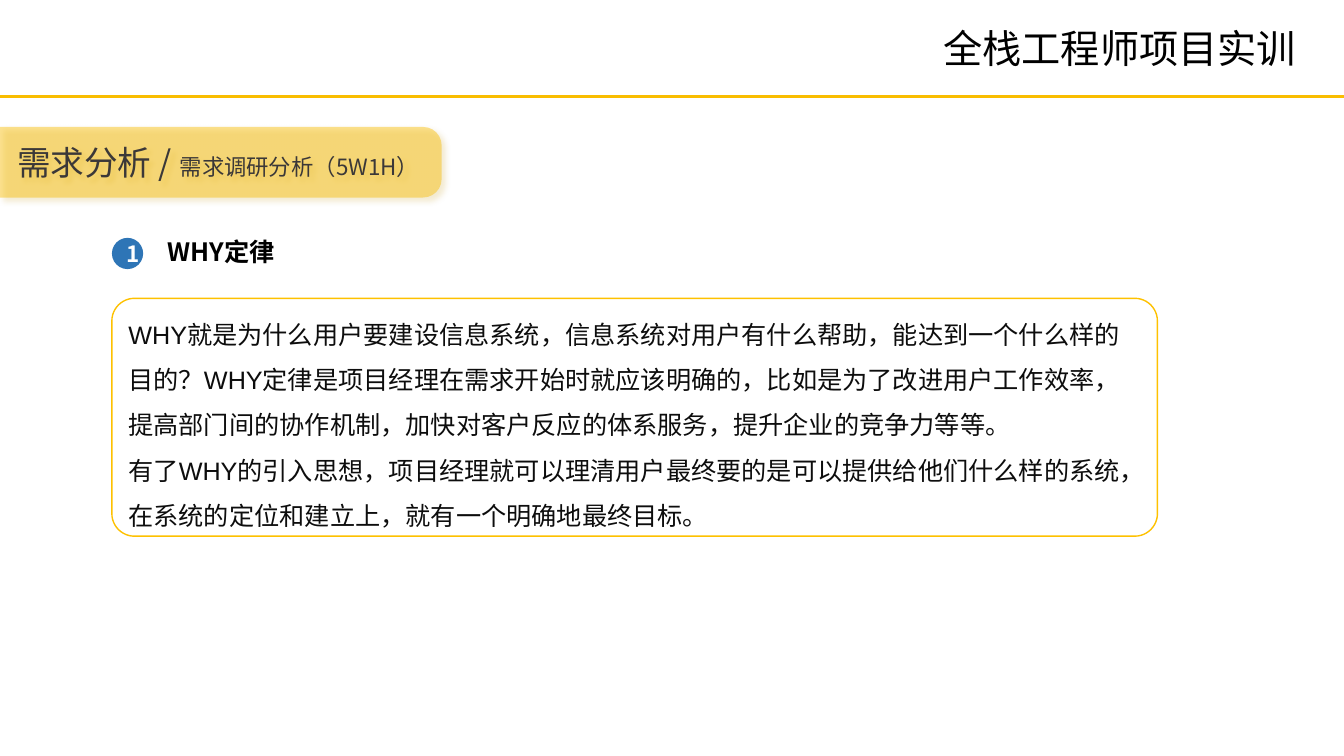
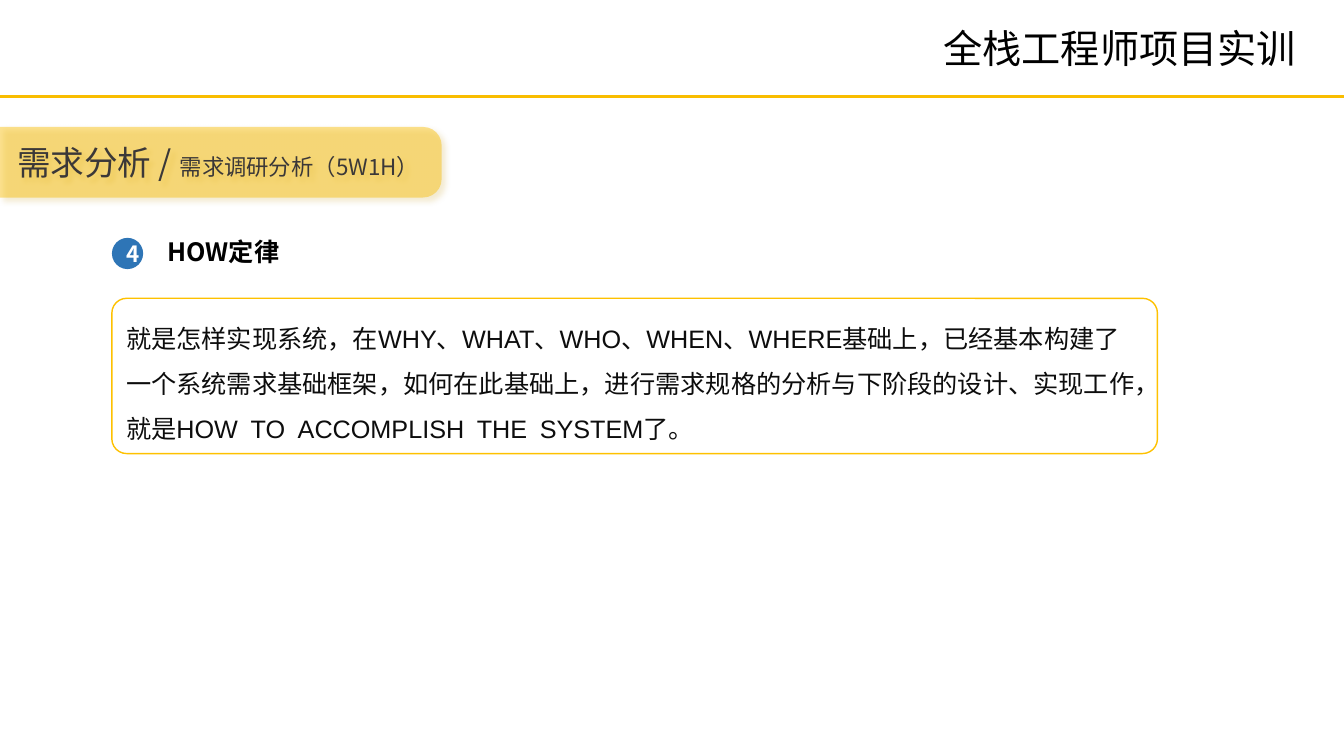
from lxml.etree import SubElement
from pptx import Presentation
from pptx.dml.color import RGBColor
from pptx.enum.shapes import MSO_CONNECTOR as Connector, MSO_SHAPE as Shape
from pptx.enum.text import MSO_ANCHOR as Anchor, MSO_AUTO_SIZE as AutoSize, PP_ALIGN as Align
from pptx.oxml.ns import qn
from pptx.util import Inches, Pt

GOLD, OUTLINE, SHADOW, BLUE = "F9BD00", "FEC100", "BF9000", "2E75B6"
BLACK, CHARCOAL, INK, WHITE = "000000", "3B3838", "0D0D0D", "FFFFFF"
SANS, HAN = "Arial", "Noto Sans CJK SC"

COURSE = "全栈工程师项目实训"
SECTION = [("需求分析 / ", 24), ("需求调研分析（5W1H）", 16)]
LAWS = [
    ("1", "WHY定律", 2.36, [
        "WHY就是为什么用户要建设信息系统，信息系统对用户有什么帮助，能达到一个什么样的目的？"
        "WHY定律是项目经理在需求开始时就应该明确的，比如是为了改进用户工作效率，"
        "提高部门间的协作机制，加快对客户反应的体系服务，提升企业的竞争力等等。",
        "有了WHY的引入思想，项目经理就可以理清用户最终要的是可以提供给他们什么样的系统，"
        "在系统的定位和建立上，就有一个明确地最终目标。",
    ]),
    ("4", "HOW定律", 1.54, [
        "就是怎样实现系统，在WHY、WHAT、WHO、WHEN、WHERE基础上，已经基本构建了一个系统需求基础框架，"
        "如何在此基础上，进行需求规格的分析与下阶段的设计、实现工作，"
        "就是HOW\u2002TO\u2002ACCOMPLISH\u2002THE\u2002SYSTEM了。",
    ]),
]


def rgb(hex_code):
    return RGBColor.from_string(hex_code)


def inches(*lengths):
    return [Inches(length) for length in lengths]


def style_run(run, size, color, face=HAN, bold=False):
    run.font.size = Pt(size)
    run.font.bold = bold
    run.font.color.rgb = rgb(color)
    run.font.name = face
    SubElement(run.font.element.get_or_add_rPr() if hasattr(run.font, "element") else run._r.get_or_add_rPr(),
               qn("a:ea"), typeface=HAN)


def write(frame, lines, size, color, face=HAN, bold=False, align=Align.LEFT, spacing=None):
    frame.word_wrap = True
    frame.text = "\n".join(lines)
    for paragraph in frame.paragraphs:
        paragraph.alignment = align
        paragraph.line_spacing = spacing
        for run in paragraph.runs:
            style_run(run, size, color, face, bold)


def add_plain(slide, preset, box, fill=None):
    shape = slide.shapes.add_shape(preset, *inches(*box))
    shape.shadow.inherit = False
    shape.line.fill.background()
    if fill:
        shape.fill.solid()
        shape.fill.fore_color.rgb = rgb(fill)
    else:
        shape.fill.background()
    return shape


def add_header(slide, layout, left, top, width, height):
    rule = slide.shapes.add_connector(Connector.STRAIGHT, *inches(left, top + height, left + width, top + height))
    rule.line.color.rgb = rgb(GOLD)
    rule.line.width = Pt(2.25)
    SubElement(rule.element.spPr, qn("a:effectLst"))
    course = slide.shapes.add_textbox(*inches(left + width - 4.2, top + 0.19, 3.93, 0.57))
    write(course.text_frame, [COURSE], 28, BLACK, SANS, align=Align.CENTER)
    layout_tree = layout.placeholders[0].element.getparent()
    for number, part in enumerate((rule, course), 101):
        part.element.xpath(".//p:cNvPr")[0].set("id", str(number))
        layout_tree.append(part.element)


def add_section_band(slide, left, top, width, height):
    turn = (width - height) / 2
    band = add_plain(slide, Shape.ROUND_2_SAME_RECTANGLE, (left + turn, top - turn, height, width), GOLD)
    band.rotation = 90
    band.adjustments[0] = 0.262
    tint = band.element.spPr.find(qn("a:solidFill"))[0]
    SubElement(tint, qn("a:alpha"), val="44000")
    effects = band.element.spPr.find(qn("a:effectLst"))
    cast = SubElement(effects, qn("a:outerShdw"), blurRad=str(Pt(4)), dist=str(Pt(3)),
                      dir="2700000", algn="tl", rotWithShape="0")
    cast_color = SubElement(cast, qn("a:srgbClr"), val=SHADOW)
    SubElement(cast_color, qn("a:alpha"), val="40000")
    frame = band.text_frame
    frame.word_wrap = True
    frame.vertical_anchor = Anchor.MIDDLE
    band.element.txBody.find(qn("a:bodyPr")).set("vert", "vert270")
    paragraph = frame.paragraphs[0]
    paragraph.alignment = Align.CENTER
    for words, size in SECTION:
        run = paragraph.add_run()
        run.text = words
        style_run(run, size, CHARCOAL)


def add_heading(slide, number, name, left, top):
    badge = add_plain(slide, Shape.OVAL, (left, top + 0.07, 0.31, 0.31), BLUE)
    badge.text_frame.vertical_anchor = Anchor.MIDDLE
    write(badge.text_frame, [number], 16, WHITE, bold=True, align=Align.CENTER)
    title = slide.shapes.title
    title.left, title.top, title.width, title.height = inches(left + 0.45, top, 2.29, 0.4)
    title.text_frame.vertical_anchor = Anchor.TOP
    title.text_frame.auto_size = AutoSize.NONE
    write(title.text_frame, [name], 18, BLACK, bold=True)


def add_explanation(slide, paragraphs, left, top, width, height):
    panel = add_plain(slide, Shape.ROUNDED_RECTANGLE, (left, top, width, height))
    panel.adjustments[0] = 0.095
    panel.line.color.rgb = rgb(OUTLINE)
    panel.line.width = Pt(1)
    panel.text_frame.vertical_anchor = Anchor.MIDDLE
    write(panel.text_frame, paragraphs, 18, INK, SANS, spacing=1.5)


def add_law_slide(deck, layout, number, name, panel_height, paragraphs):
    slide = deck.slides.add_slide(layout)
    add_section_band(slide, 0, 1.26, 4.38, 0.7)
    add_explanation(slide, paragraphs, 1.11, 2.96, 10.37, panel_height)
    add_heading(slide, number, name, 1.11, 2.29)
    return slide


deck = Presentation()
deck.slide_width, deck.slide_height = inches(13.33, 7.5)
title_only = deck.slide_layouts[5]
law_slides = [add_law_slide(deck, title_only, *law) for law in LAWS]
add_header(law_slides[0], title_only, -0.02, 0, 13.36, 0.96)
deck.save("out.pptx")
